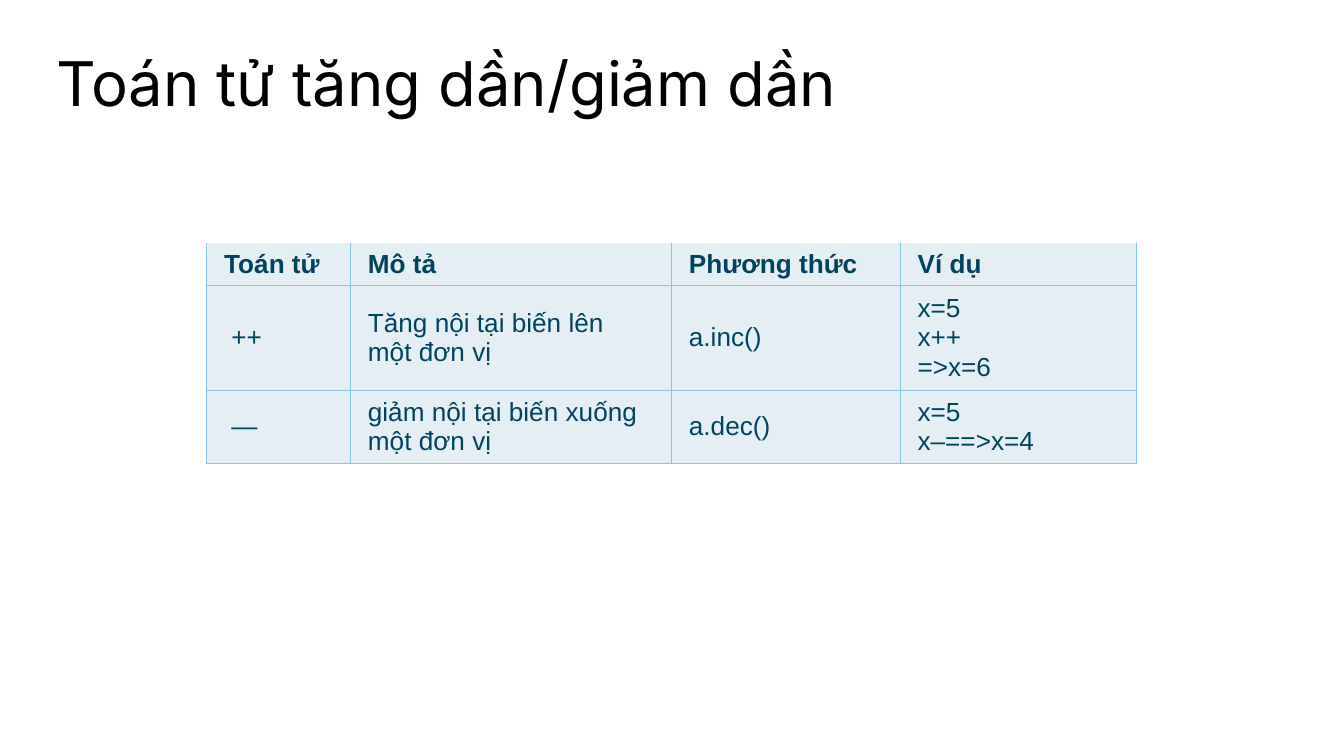
from lxml import etree
from pptx import Presentation
from pptx.dml.color import RGBColor
from pptx.enum.text import MSO_ANCHOR
from pptx.oxml.ns import qn
from pptx.util import Pt

TOP = MSO_ANCHOR.TOP
MIDDLE = MSO_ANCHOR.MIDDLE

BLACK = RGBColor(0x00, 0x00, 0x00)
NAVY = RGBColor(0x01, 0x43, 0x5F)
PALE_BLUE = RGBColor(0xE4, 0xEE, 0xF3)
SKY_BLUE = RGBColor(0x88, 0xC7, 0xE2)

COLUMN_WIDTHS = (77, 172, 122.5, 126.5)
ROW_HEIGHTS = (21.5, 53, 37.5)

# Each cell is a list of paragraphs; "\n" is a line break within a paragraph.
OPERATOR_ROWS = [
    [["Toán tử"], ["Mô tả"], ["Phương thức"], ["Ví dụ"]],
    [[" ++"], ["Tăng nội tại biến lên một đơn vị"], ["a.inc()"],
     ["x=5", "x++", "=>x=6"]],
    [[" —"], ["giảm nội tại biến xuống một đơn vị"], ["a.dec()"],
     ["x=5\nx–==>x=4"]],
]


def add_run(paragraph, text, font_name, size, color, bold=False):
    run = paragraph.add_run()
    run.text = text
    run.font.name = font_name
    run.font.size = Pt(size)
    run.font.color.rgb = color
    run.font.bold = bold


def add_title(slide, left, top, width, height):
    box = slide.shapes.add_textbox(Pt(left), Pt(top), Pt(width), Pt(height))
    frame = box.text_frame
    frame.word_wrap = True
    frame.vertical_anchor = TOP
    frame.margin_left = frame.margin_right = Pt(7.2)
    frame.margin_top = frame.margin_bottom = Pt(7.2)
    paragraph = frame.paragraphs[0]
    paragraph.line_spacing = 0.85
    add_run(paragraph, "Toán tử tăng dần/giảm dần", "Inter", 33, BLACK)


def set_borders(cell, sides):
    """Draw the named sides (L, R, T, B); the fill must be set afterwards."""
    properties = cell._tc.get_or_add_tcPr()
    for side in "LRTB":
        line = etree.SubElement(properties, qn(f"a:ln{side}"))
        if side in sides:
            line.set("w", str(Pt(0.75)))
            fill = etree.SubElement(line, qn("a:solidFill"))
            etree.SubElement(fill, qn("a:srgbClr"), val=str(SKY_BLUE))
        else:
            etree.SubElement(line, qn("a:noFill"))


def fill_cell(cell, paragraphs, is_header):
    set_borders(cell, "LRB" if is_header else "LRTB")
    cell.fill.solid()
    cell.fill.fore_color.rgb = PALE_BLUE
    cell.vertical_anchor = MIDDLE
    cell.margin_left = cell.margin_right = Pt(9.36)
    cell.margin_top = cell.margin_bottom = Pt(2.88)
    frame = cell.text_frame
    for index, text in enumerate(paragraphs):
        paragraph = frame.add_paragraph() if index else frame.paragraphs[0]
        for line_index, line in enumerate(text.split("\n")):
            if line_index:
                paragraph.add_line_break()
            add_run(paragraph, line, "Arial", 14, NAVY, is_header)


def add_operator_table(slide, left, top):
    table = slide.shapes.add_table(
        len(ROW_HEIGHTS), len(COLUMN_WIDTHS), Pt(left), Pt(top),
        Pt(sum(COLUMN_WIDTHS)), Pt(sum(ROW_HEIGHTS))).table
    table.horz_banding = False
    for column, width in zip(table.columns, COLUMN_WIDTHS):
        column.width = Pt(width)
    for row_index, (row, height) in enumerate(zip(table.rows, ROW_HEIGHTS)):
        row.height = Pt(height)
        for cell, paragraphs in zip(row.cells, OPERATOR_ROWS[row_index]):
            fill_cell(cell, paragraphs, row_index == 0)


def main():
    presentation = Presentation()
    presentation.slide_width = Pt(720)
    presentation.slide_height = Pt(405)
    slide = presentation.slides.add_slide(presentation.slide_layouts[6])
    add_title(slide, 23, 23, 670, 36)
    add_operator_table(slide, 110.75, 130.25)
    presentation.save("out.pptx")


if __name__ == "__main__":
    main()
